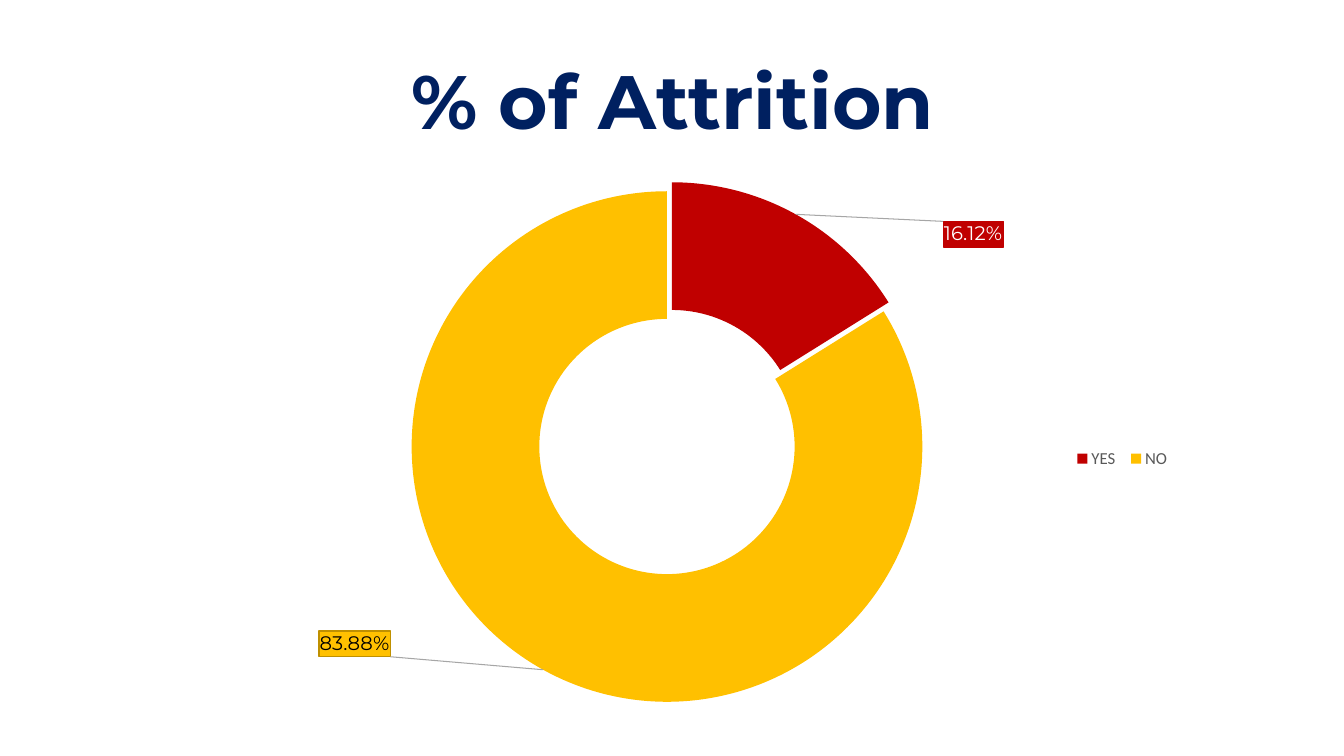
import dataclasses

import pptx
import pptx.chart.data
import pptx.chart.series
import pptx.dml.color
import pptx.enum.chart
import pptx.enum.text
import pptx.oxml
import pptx.oxml.ns
import pptx.slide
import pptx.util

HUES = {
    "navy": "002060",
    "red": "C00000",
    "gold": "FFC000",
    "rim": "BF9000",
    "white": "FFFFFF",
    "black": "000000",
    "gray": "595959",
    "line": "A6A6A6",
}


@dataclasses.dataclass
class Slice:
    name: str
    value: float
    fill: str
    ink: str
    edge: str
    burst: int
    dx: float
    dy: float


PARTS = [
    Slice("YES", 0.1612, "red", "white", "red", 8, 0.19, -0.06),
    Slice("NO", 0.8388, "gold", "black", "rim", 0, -0.2, 0.05),
]


def color(name: str) -> pptx.dml.color.RGBColor:
    return pptx.dml.color.RGBColor.from_string(HUES[name])


def make(tag: str, body: str, attrs: str = ""):
    spaces = pptx.oxml.ns.nsdecls("c", "a")
    return pptx.oxml.parse_xml(f"<c:{tag} {spaces} {attrs}>{body}</c:{tag}>")


def place(x: float, y: float, w: float = 0, h: float = 0, inner: bool = False):
    body = '<c:layoutTarget val="inner"/>' if inner else ""
    if w:
        body += '<c:xMode val="edge"/><c:yMode val="edge"/>'
    body += f'<c:x val="{x}"/><c:y val="{y}"/>'
    if w:
        body += f'<c:w val="{w}"/><c:h val="{h}"/>'
    return make("layout", f"<c:manualLayout>{body}</c:manualLayout>")


def solid(name: str) -> str:
    return f'<a:solidFill><a:srgbClr val="{HUES[name]}"/></a:solidFill>'


def box(fill: str, edge: str):
    return make("spPr", f'{solid(fill)}<a:ln w="12700">{solid(edge)}</a:ln>')


def clear(node, *tags: str) -> None:
    for tag in tags:
        for child in node.xpath(f"c:{tag}"):
            node.remove(child)


def style(series: pptx.chart.series.PieSeries, index: int, part: Slice) -> None:
    point = series.points[index]
    point.format.fill.solid()
    point.format.fill.fore_color.rgb = color(part.fill)
    if part.burst:
        node = series._element.xpath(f"c:dPt[c:idx/@val={index}]/c:idx")[0]
        node.addnext(make("explosion", "", f'val="{part.burst}"'))
    run = point.data_label.text_frame.paragraphs[0].add_run()
    run.text = f"{part.value:.2%}"
    run.font.name, run.font.size = "Montserrat", pptx.util.Pt(14)
    run.font.color.rgb = color(part.ink)
    label = series._element.xpath(f"c:dLbls/c:dLbl[c:idx/@val={index}]")[0]
    clear(label, "layout", "numFmt", "spPr")
    label.xpath("c:idx")[0].addnext(place(part.dx, part.dy))
    text = label.xpath("c:tx")[0]
    text.addnext(box(part.fill, part.edge))
    text.addnext(make("numFmt", "", 'formatCode="0.00%" sourceLinked="0"'))


def add_title(slide: pptx.slide.Slide) -> None:
    title = slide.shapes.title
    title.left, title.top, title.width, title.height = map(
        pptx.util.Inches, (0.92, 0.32, 11.5, 1.45))
    frame = title.text_frame
    frame.text = "% of Attrition"
    frame.vertical_anchor = pptx.enum.text.MSO_ANCHOR.MIDDLE
    para = frame.paragraphs[0]
    para.alignment = pptx.enum.text.PP_ALIGN.CENTER
    para.line_spacing = 0.9
    para.font.name, para.font.size = "Montserrat", pptx.util.Pt(54)
    para.font.bold = True
    para.font.color.rgb = color("navy")


def add_ring(slide: pptx.slide.Slide) -> None:
    data = pptx.chart.data.CategoryChartData(number_format="0.00%")
    data.categories = [part.name for part in PARTS]
    data.add_series("Series 1", [part.value for part in PARTS])
    chart = slide.shapes.add_chart(
        pptx.enum.chart.XL_CHART_TYPE.DOUGHNUT,
        *map(pptx.util.Inches, (1.23, 1.54, 10.88, 5.96)), data).chart
    chart.has_title = False
    chart.font.name, chart.font.size = "Calibri", pptx.util.Pt(10)
    chart.has_legend = True
    legend = chart.legend
    legend.position = pptx.enum.chart.XL_LEGEND_POSITION.BOTTOM
    legend.include_in_layout = False
    legend.font.name, legend.font.size = "Calibri", pptx.util.Pt(12)
    legend.font.color.rgb = color("gray")
    clear(legend._element, "layout")
    legend._element.xpath("c:legendPos")[0].addnext(place(0.86, 0.48, 0.1, 0.05))

    plot = chart.plots[0]
    plot.vary_by_categories = True
    area = chart._chartSpace.xpath("c:chart/c:plotArea")[0]
    clear(area, "layout")
    area.insert(0, place(0.26, 0.06, 0.47, 0.85, inner=True))
    for node in area.xpath(".//c:holeSize"):
        node.set("val", "75")

    series = plot.series[0]
    labels = series.data_labels
    labels.show_value = True
    labels.number_format = "0.00%"
    labels.number_format_is_linked = False
    group = labels._element
    clear(group, "spPr")
    group.xpath("c:numFmt")[0].addnext(box("gold", "rim"))
    for index, part in enumerate(PARTS):
        style(series, index, part)
    for node in group.xpath("c:showLeaderLines"):
        node.set("val", "1")
        line = f'<a:ln w="9525">{solid("line")}</a:ln>'
        node.addnext(make("leaderLines", f"<c:spPr>{line}</c:spPr>"))


def main() -> None:
    deck = pptx.Presentation()
    deck.slide_width = pptx.util.Inches(13.33)
    deck.slide_height = pptx.util.Inches(7.5)
    slide = deck.slides.add_slide(deck.slide_layouts[5])
    add_title(slide)
    add_ring(slide)
    deck.save("out.pptx")


if __name__ == "__main__":
    main()
